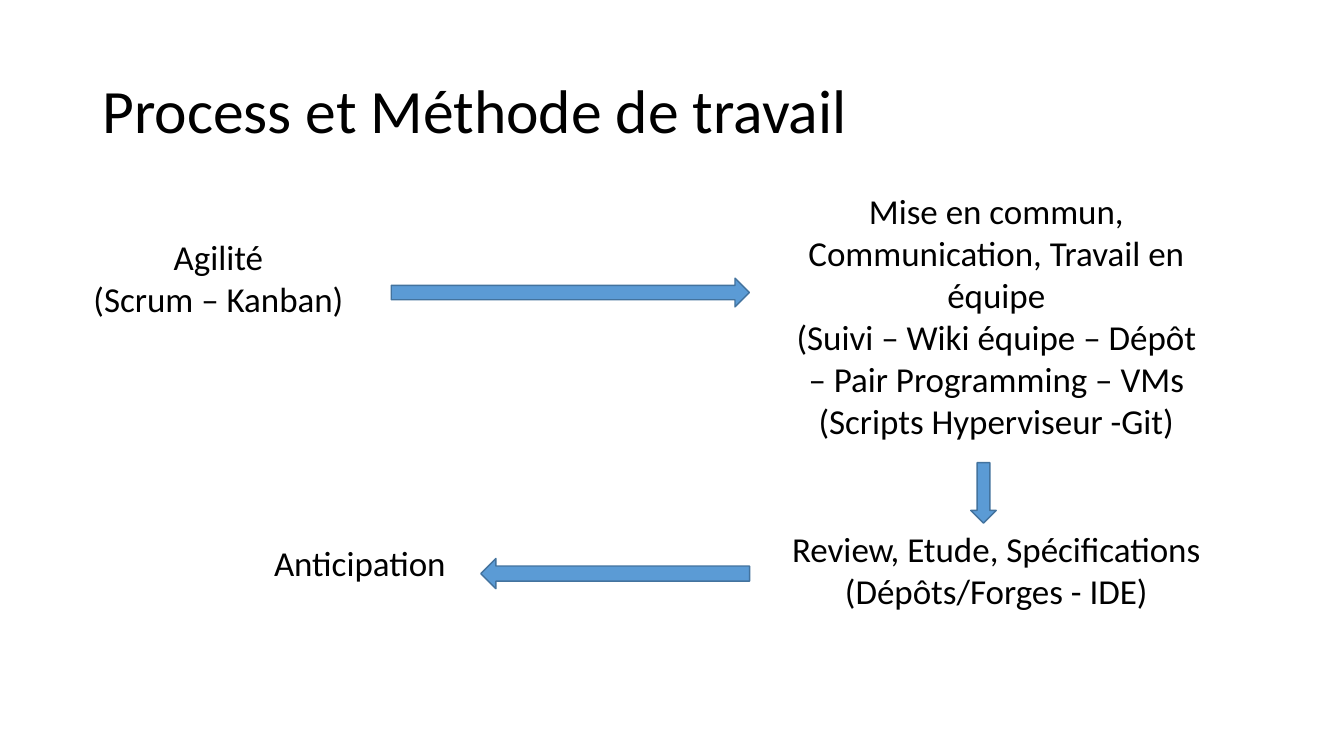
from pptx import Presentation
from pptx.util import Pt
from pptx.dml.color import RGBColor as RGB
from pptx.enum.shapes import MSO_SHAPE as SHAPE
from pptx.enum.text import MSO_ANCHOR as ANCHOR, PP_ALIGN as ALIGN

COLORS = {"text": "000000", "arrow": "5B9BD5", "outline": "43739E", "bg": "FFFFFF"}

prs = Presentation()
prs.slide_width, prs.slide_height = Pt(960), Pt(540)
s = prs.slides.add_slide(prs.slide_layouts[6])
s.background.fill.solid()
s.background.fill.fore_color.rgb = RGB.from_string(COLORS["bg"])


def add_text(box, lines, size, align, anchor=ANCHOR.TOP, spacing=1.0):
    tf = s.shapes.add_textbox(*map(Pt, box)).text_frame
    tf.word_wrap = True
    tf.vertical_anchor = anchor
    for i, line in enumerate(lines):
        p = tf.add_paragraph() if i else tf.paragraphs[0]
        p.alignment = align
        p.line_spacing = spacing
        r = p.add_run()
        r.text = line
        r.font.name = "Calibri"
        r.font.size = Pt(size)
        r.font.color.rgb = RGB.from_string(COLORS["text"])


# Title
add_text((66, 28.75, 828, 104.4), ["Process et Méthode de travail"], 44,
         ALIGN.LEFT, ANCHOR.MIDDLE, 0.9)

# Steps of the process: left, top, height, lines
STEP_WIDTH = 312
RIGHT_COLUMN = 555.6
steps = [
    (0, 165, 67.7, ["Agilité", "(Scrum – Kanban)"]),
    (RIGHT_COLUMN, 132, 189.4, [
        "Mise en commun, Communication, Travail en équipe",
        "(Suivi – Wiki équipe – Dépôt – Pair Programming – VMs "
        "(Scripts Hyperviseur -Git)"]),
    (RIGHT_COLUMN, 373, 67.7, ["Review, Etude, Spécifications",
                               "(Dépôts/Forges - IDE)"]),
    (101, 383, 37.4, ["Anticipation"]),
]
for left, top, height, lines in steps:
    add_text((left, top, STEP_WIDTH, height), lines, 25, ALIGN.CENTER)

# Arrows between the steps: preset, box, rotation
arrows = [
    (SHAPE.RIGHT_ARROW, (279.5, 198.7, 255.8, 20.5), 0),
    (SHAPE.DOWN_ARROW, (693.4, 330.5, 18.2, 43.2), 0),
    (SHAPE.RIGHT_ARROW, (343.4, 398.9, 192, 21.6), 180),
]
for preset, box, rotation in arrows:
    sp = s.shapes.add_shape(preset, *map(Pt, box))
    sp.rotation = rotation
    sp.shadow.inherit = False
    sp.fill.solid()
    sp.fill.fore_color.rgb = RGB.from_string(COLORS["arrow"])
    sp.line.color.rgb = RGB.from_string(COLORS["outline"])
    sp.line.width = Pt(1)

prs.save("out.pptx")
